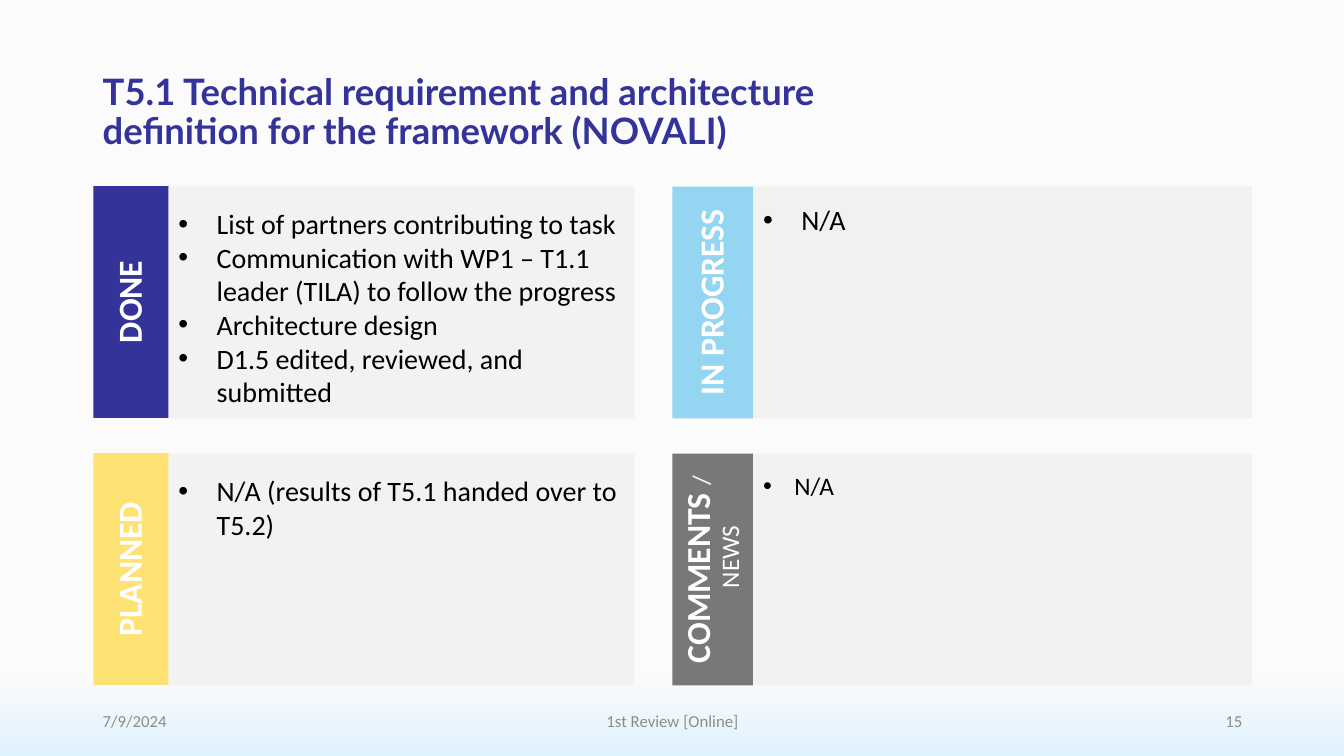
from lxml import etree
from pptx import Presentation
from pptx import util as u
from pptx.dml.color import RGBColor
from pptx.enum import shapes, text
from pptx.oxml.ns import qn

PX = 9144
PANEL_HEIGHT = 230
COLOURS = {
    "sky_top": "FBFBFB", "sky_bottom": "DFF2FD", "navy": "333399",
    "yellow": "FFE274", "blue": "94D5F1", "grey": "797878",
    "panel": "F2F2F2", "progress_panel": "F1F1F1",
    "white": "FFFFFF", "black": "000000", "footer": "8C8C8C",
}


def px(length):
    """Turn a length in px into EMU."""
    return u.Emu(length * PX)


def rgb(name):
    """Look up a named colour."""
    return RGBColor.from_string(COLOURS[name])


def style_run(run, size, colour, bold=False, font="Calibri"):
    """Set the font of one run."""
    run.font.name = font
    run.font.size = u.Pt(size)
    run.font.bold = bold
    run.font.color.rgb = rgb(colour)


def hang(paragraph, indent, bullet=None):
    """Give a paragraph a hanging indent and perhaps a bullet."""
    properties = paragraph._p.get_or_add_pPr()
    properties.set("marL", str(px(indent)))
    properties.set("indent", str(-px(indent)))
    if bullet:
        etree.SubElement(properties, qn("a:buFont")).set("typeface", "Arial")
        etree.SubElement(properties, qn("a:buChar")).set("char", bullet)


def tighten(paragraph):
    """Apply the compact line spacing with a gap above."""
    paragraph.line_spacing = 0.9
    paragraph.space_before = u.Pt(10)


def add_line(slide, box, words, size, colour, align=text.PP_ALIGN.LEFT,
             **font):
    """Add a vertically centred text box and return its paragraph."""
    frame = slide.shapes.add_textbox(*map(px, box)).text_frame
    frame.word_wrap = True
    frame.vertical_anchor = text.MSO_ANCHOR.MIDDLE
    line = frame.paragraphs[0]
    line.text = words
    line.alignment = align
    style_run(line.runs[0], size, colour, **font)
    return line


def add_block(slide, box, colour):
    """Add a plain filled rectangle."""
    block = slide.shapes.add_shape(shapes.MSO_SHAPE.RECTANGLE, *map(px, box))
    block.shadow.inherit = False
    block.fill.solid()
    block.fill.fore_color.rgb = rgb(colour)
    block.line.fill.background()
    block.text_frame.word_wrap = True
    return block


def add_tab(slide, left, top, width, colour, label, suffix=""):
    """Add a status tab whose label reads upwards."""
    shift = (PANEL_HEIGHT - width) // 2
    tab = add_block(slide, (left - shift, top + shift, PANEL_HEIGHT, width),
                    colour)
    tab.rotation = 270
    tab.text_frame.vertical_anchor = text.MSO_ANCHOR.MIDDLE
    heading = tab.text_frame.paragraphs[0]
    heading.text = label
    heading.alignment = text.PP_ALIGN.CENTER
    tighten(heading)
    hang(heading, 25)
    style_run(heading.runs[0], 24, "white", bold=True)
    if suffix:
        extra = heading.add_run()
        extra.text = suffix
        style_run(extra, 18, "white")


def add_panel(slide, box, colour, items, size=20, indent=38, compact=False):
    """Add a panel with a bulleted list."""
    frame = add_block(slide, box, colour).text_frame
    frame.margin_top = px(20)
    frame.vertical_anchor = text.MSO_ANCHOR.TOP
    frame.text = "\n".join(items)
    for item in frame.paragraphs:
        item.alignment = text.PP_ALIGN.LEFT
        if compact:
            tighten(item)
        hang(item, indent, "•")
        style_run(item.runs[0], size, "black")


def paint_background(slide):
    """Fill the background with a gradient near the bottom edge."""
    fill = slide.background.fill
    fill.gradient()
    fill.gradient_angle = 270
    sky = ((0.89, "sky_top"), (1, "sky_bottom"))
    for stop, (position, colour) in zip(fill.gradient_stops, sky):
        stop.position = position
        stop.color.rgb = rgb(colour)


def main():
    """Build the task status slide."""
    deck = Presentation()
    deck.slide_width, deck.slide_height = px(1333), px(750)
    slide = deck.slides.add_slide(deck.slide_layouts[6])
    paint_background(slide)

    title = add_line(
        slide, (92, 40, 745, 145),
        "T5.1 Technical requirement and architecture definition for the "
        "framework (NOVALI)", 26, "navy", bold=True, font="Lato")
    title.line_spacing = 0.9

    done = ["List of partners contributing to task",
            "Communication with WP1 – T1.1 leader (TILA) to follow the progress",
            "Architecture design",
            "D1.5 edited, reviewed, and submitted"]
    planned = ["N/A (results of T5.1 handed over to T5.2)"]
    columns = ((92, 75, 462), (667, 80, 495))
    rows = (185, 450)
    statuses = (
        (0, 0, ("navy", "DONE"), ("panel", done), {}),
        (0, 1, ("yellow", "PLANNED"), ("panel", planned), {}),
        (1, 0, ("blue", "IN PROGRESS"), ("progress_panel", ["N/A"]),
         {"compact": True}),
        (1, 1, ("grey", "COMMENTS ", "/ NEWS"), ("panel", ["N/A"]),
         {"size": 18, "indent": 31, "compact": True}),
    )
    for column, row, tab, panel, layout in statuses:
        left, tab_width, panel_width = columns[column]
        top = rows[row]
        add_tab(slide, left, top, tab_width, *tab)
        add_panel(slide, (left + tab_width, top, panel_width, PANEL_HEIGHT),
                  *panel, **layout)

    footers = ((92, 300, "7/9/2024", text.PP_ALIGN.LEFT),
               (442, 450, "1st Review [Online]", text.PP_ALIGN.CENTER),
               (942, 300, "15", text.PP_ALIGN.RIGHT))
    for left, width, words, align in footers:
        add_line(slide, (left, 695, width, 40), words, 12, "footer", align)

    deck.save("out.pptx")


if __name__ == "__main__":
    main()
